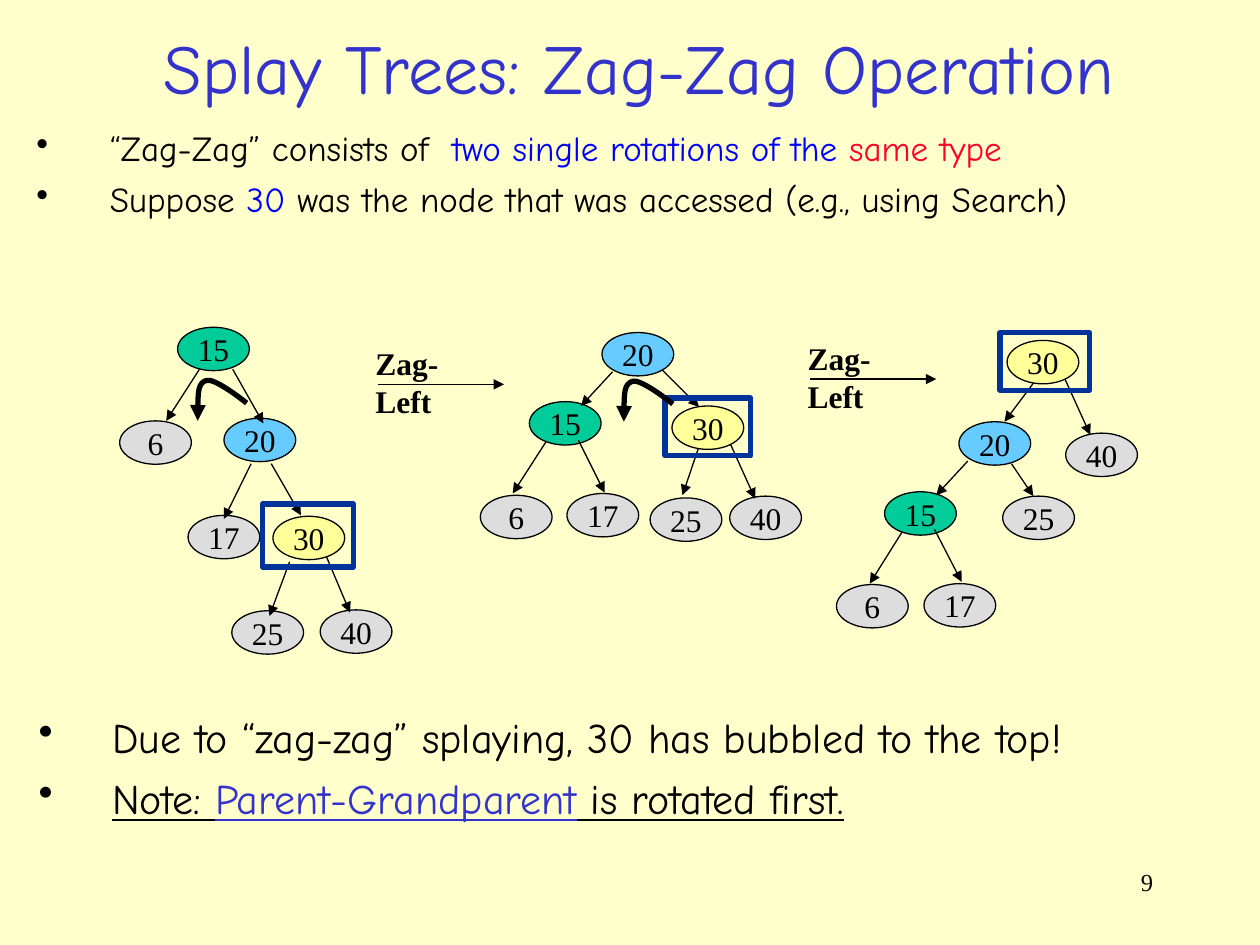
from lxml.etree import SubElement
from pptx import Presentation
from pptx.dml.color import RGBColor
from pptx.enum.shapes import MSO_CONNECTOR, MSO_SHAPE
from pptx.enum.text import MSO_ANCHOR, PP_ALIGN
from pptx.oxml.ns import qn
from pptx.util import Pt

CREAM = RGBColor(0xFF, 0xFF, 0xCC)
BLACK = RGBColor(0x00, 0x00, 0x00)
INDIGO = RGBColor(0x33, 0x33, 0xCC)
BLUE = RGBColor(0x00, 0x00, 0xFF)
RED = RGBColor(0xFD, 0x01, 0x28)
NAVY = RGBColor(0x00, 0x33, 0x99)
GREEN = RGBColor(0x00, 0xCC, 0x99)
SKY = RGBColor(0x66, 0xCC, 0xFF)
YELLOW = RGBColor(0xFF, 0xFF, 0x99)
GRAY = RGBColor(0xDD, 0xDD, 0xDD)

HAND_FONT = "Comic Neue"
SERIF_FONT = "Times New Roman"
NODE_FILLS = {"15": GREEN, "20": SKY, "30": YELLOW}
NODE_SIZE = (41, 24.8)
ROTATION_CURVE = [(0, 24.5), (0, 13.7), (0, 2.9), (5, 1.4), (9.4, 0), (24.5, 11.5), (28, 14.4)]

TREES = [
    {
        "origin": (68, 187),
        "nodes": {"15": (33.5, 0), "6": (0.4, 53.5), "20": (60, 52), "30": (88, 108),
                  "17": (39.5, 107.5), "25": (64.5, 162), "40": (115, 161.5)},
        "edges": [(46, 24, 27, 53.5), (65, 24, 82.5, 55), (87, 78, 104, 107.5),
                  (97.5, 134, 86, 165), (75.5, 78, 60, 109.5), (118.5, 131, 132, 163)],
        "frame": (82, 101, 52, 36),
        "rotation": (45, 29),
    },
    {
        "origin": (274, 190),
        "nodes": {"15": (28.5, 39.5), "6": (0.5, 93), "20": (70, 0), "30": (110, 42),
                  "17": (50, 92), "25": (97.5, 94.5), "40": (143, 93.5)},
        "edges": [(38, 62.5, 19, 92), (56.5, 61.5, 71.5, 91.5), (104.5, 21.5, 125.5, 42.5),
                  (125, 66.5, 116, 93), (76, 22.5, 58, 42), (143.5, 64, 157.5, 95)],
        "frame": (106, 37.5, 49, 33),
        "rotation": (82.5, 26.5),
    },
    {
        "origin": (478, 190),
        "nodes": {"15": (27.5, 91), "6": (0, 144), "20": (70, 51), "30": (97.5, 4.5),
                  "17": (50, 143.5), "25": (95, 93.5), "40": (131, 57.5)},
        "edges": [(37.5, 114, 19, 143.5), (56, 112.5, 71.5, 142.5), (100, 75, 112.5, 93.5),
                  (112.5, 29, 96, 51), (75, 73.5, 57, 93), (130.5, 26.5, 145, 58.5)],
        "frame": (93.5, 0, 51, 33),
        "rotation": None,
    },
]


def write_text(shape, paragraphs, size, font=SERIF_FONT, align=PP_ALIGN.LEFT,
               anchor=MSO_ANCHOR.TOP, bold=False, wrap=True, bullet_space=None,
               underlined=()):
    frame = shape.text_frame
    frame.word_wrap = wrap
    frame.vertical_anchor = anchor
    for index, runs in enumerate(paragraphs):
        paragraph = frame.add_paragraph() if index else frame.paragraphs[0]
        paragraph.alignment = align
        if bullet_space is not None:
            paragraph.space_before = Pt(bullet_space)
            add_bullet(paragraph)
        for text, color in runs:
            run = paragraph.add_run()
            run.text = text
            run.font.name = font
            run.font.size = Pt(size)
            run.font.bold = bold
            run.font.underline = index in underlined
            run.font.color.rgb = color


def add_bullet(paragraph):
    properties = paragraph._p.get_or_add_pPr()
    properties.set("marL", str(Pt(42)))
    properties.set("indent", str(-Pt(42)))
    color = SubElement(properties, qn("a:buClr"))
    SubElement(color, qn("a:srgbClr"), val=str(BLACK))
    SubElement(properties, qn("a:buChar"), char="•")


def add_text(slide, box, paragraphs, **text_format):
    shape = slide.shapes.add_textbox(*map(Pt, box))
    write_text(shape, paragraphs, **text_format)


def set_line(shape, color, width, arrow_end=None):
    shape.line.color.rgb = color
    shape.line.width = Pt(width)
    if arrow_end:
        SubElement(shape.line._get_or_add_ln(), qn(arrow_end), type="triangle")


def add_arrow(slide, start_x, start_y, end_x, end_y):
    connector = slide.shapes.add_connector(
        MSO_CONNECTOR.STRAIGHT, Pt(start_x), Pt(start_y), Pt(end_x), Pt(end_y))
    set_line(connector, BLACK, 0.75, "a:tailEnd")
    SubElement(connector._element.spPr, qn("a:effectLst"))


def add_node(slide, left, top, key):
    node = slide.shapes.add_shape(MSO_SHAPE.OVAL, Pt(left), Pt(top), *map(Pt, NODE_SIZE))
    node.shadow.inherit = False
    node.fill.solid()
    node.fill.fore_color.rgb = NODE_FILLS.get(key, GRAY)
    set_line(node, BLACK, 0.75)
    write_text(node, [[(key, BLACK)]], size=18, align=PP_ALIGN.CENTER,
               anchor=MSO_ANCHOR.MIDDLE, wrap=False)


def add_frame(slide, box):
    frame = slide.shapes.add_shape(MSO_SHAPE.RECTANGLE, *map(Pt, box))
    frame.shadow.inherit = False
    frame.fill.background()
    set_line(frame, NAVY, 3)


def add_rotation(slide, left, top):
    points = [(Pt(left + x), Pt(top + y)) for x, y in ROTATION_CURVE]
    builder = slide.shapes.build_freeform(*points[0])
    builder.add_line_segments(points[1:], close=False)
    curve = builder.convert_to_shape()
    segments = list(curve._element.iter(qn("a:lnTo")))
    outline = segments[0].getparent()
    for first in range(0, len(segments), 3):
        bezier = SubElement(outline, qn("a:cubicBezTo"))
        for segment in segments[first:first + 3]:
            bezier.append(segment[0])
            outline.remove(segment)
    curve.shadow.inherit = False
    curve.fill.background()
    set_line(curve, BLACK, 3, "a:headEnd")


def add_tree(slide, origin, nodes, edges, frame, rotation):
    left, top = origin
    for key, (x, y) in nodes.items():
        add_node(slide, left + x, top + y, key)
    for start_x, start_y, end_x, end_y in edges:
        add_arrow(slide, left + start_x, top + start_y, left + end_x, top + end_y)
    x, y, width, height = frame
    add_frame(slide, (left + x, top + y, width, height))
    if rotation:
        add_rotation(slide, left + rotation[0], top + rotation[1])


def add_step(slide, left, top):
    add_text(slide, (left, top, 82, 29), [[("Zag-Left", BLACK)]],
             size=18, bold=True, wrap=False)
    add_arrow(slide, left + 8.6, top + 26.6, left + 80.6, top + 26.6)


def add_heading(slide, box):
    add_text(slide, box, [[("Splay Trees: Zag-Zag Operation", INDIGO)]], size=40,
             font=HAND_FONT, align=PP_ALIGN.CENTER, anchor=MSO_ANCHOR.MIDDLE)


def add_introduction(slide, box):
    add_text(slide, box, [
        [("“Zag-Zag” consists of  ", BLACK), ("two single rotations of the ", BLUE),
         ("same type", RED)],
        [("Suppose ", BLACK), ("30 ", BLUE),
         ("was the node that was accessed (e.g., using Search)", BLACK)],
    ], size=20, font=HAND_FONT, bullet_space=5)


def add_conclusion(slide, box):
    add_text(slide, box, [
        [("Due to “zag-zag” splaying, 30 has bubbled to the top!", BLACK)],
        [("Note: ", BLACK), ("Parent-Grandparent", INDIGO), (" is rotated first.", BLACK)],
    ], size=24, font=HAND_FONT, bullet_space=6, underlined=(1,))


def main():
    presentation = Presentation()
    presentation.slide_width, presentation.slide_height = Pt(720), Pt(540)
    slide = presentation.slides.add_slide(presentation.slide_layouts[6])
    slide.background.fill.solid()
    slide.background.fill.fore_color.rgb = CREAM
    add_text(slide, (516, 492, 150, 36), [[("9", BLACK)]], size=14, align=PP_ALIGN.RIGHT)
    add_heading(slide, (21.6, 10.8, 687, 54.7))
    add_introduction(slide, (13.7, 69, 675, 86))
    add_conclusion(slide, (15, 403, 680, 90))
    for tree in TREES:
        add_tree(slide, **tree)
    for left, top in [(207.4, 193), (454.4, 190)]:
        add_step(slide, left, top)
    presentation.save("out.pptx")


if __name__ == "__main__":
    main()
